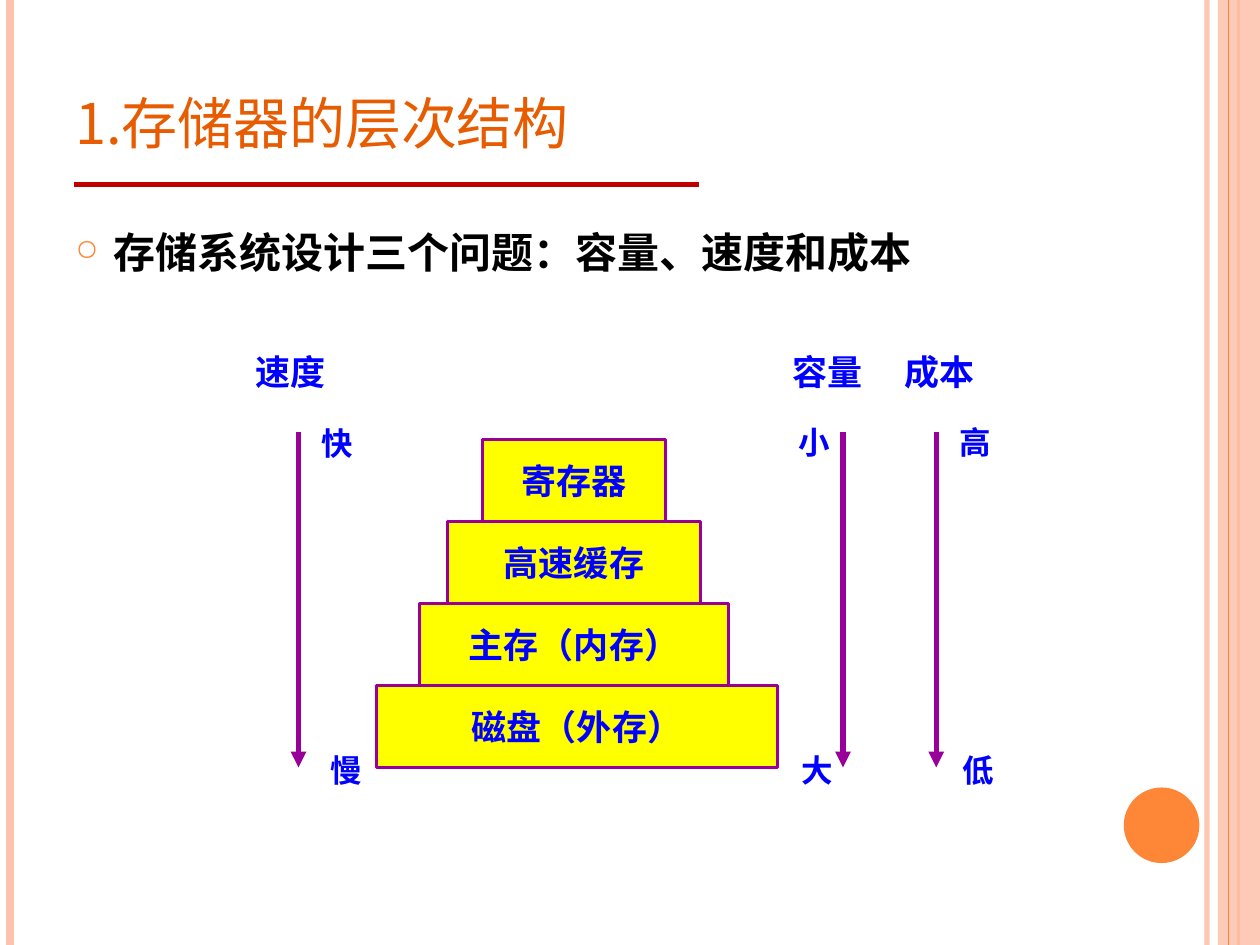
from lxml import etree
from pptx import Presentation
from pptx.dml.color import RGBColor
from pptx.enum.shapes import MSO_CONNECTOR, MSO_SHAPE
from pptx.enum.text import MSO_ANCHOR, MSO_AUTO_SIZE, PP_ALIGN
from pptx.oxml.ns import qn
from pptx.util import Pt

LINE = MSO_CONNECTOR.STRAIGHT
RECT, OVAL = MSO_SHAPE.RECTANGLE, MSO_SHAPE.OVAL
TOP, MID, LOW = MSO_ANCHOR.TOP, MSO_ANCHOR.MIDDLE, MSO_ANCHOR.BOTTOM
LEFT, MIDDLE = PP_ALIGN.LEFT, PP_ALIGN.CENTER
GROW = MSO_AUTO_SIZE.SHAPE_TO_FIT_TEXT

# Content
TITLE = "1.存储器的层次结构"
POINT = "存储系统设计三个问题：容量、速度和成本"
# level, centre x, width, from top to bottom
LEVELS = [("寄存器", 328, 104.4), ("高速缓存", 328, 144.7),
          ("主存（内存）", 328, 176.4), ("磁盘（外存）", 329.7, 229)]
# arrow x, (name, left), (top end, left, top), (bottom end, left)
SCALES = [
    (481.7, ("容量", 445.9), ("小", 449.3, 238.3), ("大", 450.7)),
    (535, ("成本", 509.8), ("高", 541.4, 238.3), ("低", 542.9)),
    (170.6, ("速度", 139), ("快", 176.4, 239), ("慢", 181.8)),
]

THEME = {
    "pale": "FEC3AE", "orange": "FE8637", "title": "E75C01", "rule": "C00000",
    "black": "000000", "fill": "FFFF00", "edge": "990099", "blue": "0000FF",
    "cjk": "Noto Sans CJK SC", "serif": "TeX Gyre Schola", "sans": "Arial",
    "head": 40, "body": 24, "name": 20, "end": 18,
}
WIDE, HIGH = 720, 540
# x, colour, width, opacity of the stripes
STRIPES = [(689.8, "pale", 3, 93), (5.8, "pale", 4.5, 100),
           (707.8, "orange", 1.5, 100)]
PEAK, STEP = 251.3, 46.8
START, END = 247, 438.5
NAME_TOP, END_TOP = 196.6, 425.5

prs = Presentation()
prs.slide_width, prs.slide_height = Pt(WIDE), Pt(HIGH)
slide = prs.slides.add_slide(prs.slide_layouts[6])
shapes = slide.shapes


def color(key):
    return RGBColor.from_string(THEME[key])


def fade(part, share):
    """Set the opacity of the first solid fill in a part."""
    tint = next(part.iter(qn("a:srgbClr")))
    etree.SubElement(tint, qn("a:alpha")).set("val", str(share * 1000))


def line(x1, y1, x2, y2, key, width, share=100, arrow=False):
    item = shapes.add_connector(LINE, Pt(x1), Pt(y1), Pt(x2), Pt(y2))
    item.line.color.rgb = color(key)
    item.line.width = Pt(width)
    props = item._element.spPr
    if share < 100:
        fade(props, share)
    if arrow:
        stroke = props.find(qn("a:ln"))
        etree.SubElement(stroke, qn("a:tailEnd")).set("type", "triangle")
    etree.SubElement(props, qn("a:effectLst"))


def shape(kind, x, y, w, h, key, edge=None):
    item = shapes.add_shape(kind, Pt(x), Pt(y), Pt(w), Pt(h))
    item.shadow.inherit = False
    item.fill.solid()
    item.fill.fore_color.rgb = color(key)
    if edge:
        item.line.color.rgb = color(edge)
        item.line.width = Pt(1.5)
    else:
        item.line.fill.background()
    return item


def write(item, text, font, size, key, bold=True, wrap=False,
          anchor=TOP, align=LEFT):
    frame = item.text_frame
    frame.text = text
    frame.word_wrap = wrap
    frame.vertical_anchor = anchor
    para = frame.paragraphs[0]
    para.alignment = align
    run = para.runs[0]
    run.font.name = THEME[font]
    run.font.size = Pt(THEME[size])
    run.font.bold = bold
    run.font.color.rgb = color(key)
    props = run._r.get_or_add_rPr()
    etree.SubElement(props, qn("a:ea")).set("typeface", THEME[font])
    return para


def box(x, y, w, h):
    return shapes.add_textbox(Pt(x), Pt(y), Pt(w), Pt(h))


def label(text, x, y, size):
    width = 55.4 if size == "name" else 32.4
    item = box(x, y, width, 31.5 if size == "name" else 29)
    write(item, text, "sans", size, "blue")
    item.text_frame.auto_size = GROW


# Frame of the slide
for x, key, width, share in STRIPES:
    line(x, 0, x, HIGH, key, width, share)
band = shape(RECT, 696, 0, 24, HIGH, "pale")
fade(band._element.spPr, 87)
line(702, 0, 702, HIGH, "orange", 0.75)
shape(OVAL, 642.2, 450, 43.2, 43.2, "orange")
line(42.3, 105.6, 399.4, 105.6, "rule", 3)

# Title in small capitals
head = write(box(36, 21.6, 588, 72.7), TITLE, "cjk", "head", "title",
             bold=False, wrap=True, anchor=LOW)
head.runs[0]._r.get_or_add_rPr().set("cap", "small")

# Bulleted point
para = write(box(36, 126, 588, 383.8), POINT, "cjk", "body", "black",
             wrap=True)
props = para._p.get_or_add_pPr()
props.set("marL", str(Pt(21.6)))
props.set("indent", str(-Pt(21.6)))
tint = etree.SubElement(props, qn("a:buClr"))
etree.SubElement(tint, qn("a:srgbClr")).set("val", THEME["orange"])
etree.SubElement(props, qn("a:buSzPct")).set("val", "70000")
etree.SubElement(props, qn("a:buChar")).set("char", "○")

# Pyramid of memory levels
for row, (text, mid, width) in reversed(list(enumerate(LEVELS))):
    tier = shape(RECT, mid - width / 2, PEAK + row * STEP, width, STEP,
                 "fill", "edge")
    write(tier, text, "serif", "name", "blue", anchor=MID, align=MIDDLE)

# Scales beside the pyramid
for x, (name, left), (first, near, top), (last, far) in SCALES:
    line(x, START, x, END, "edge", 3, arrow=True)
    label(name, left, NAME_TOP, "name")
    label(first, near, top, "end")
    label(last, far, END_TOP, "end")

prs.save("out.pptx")
